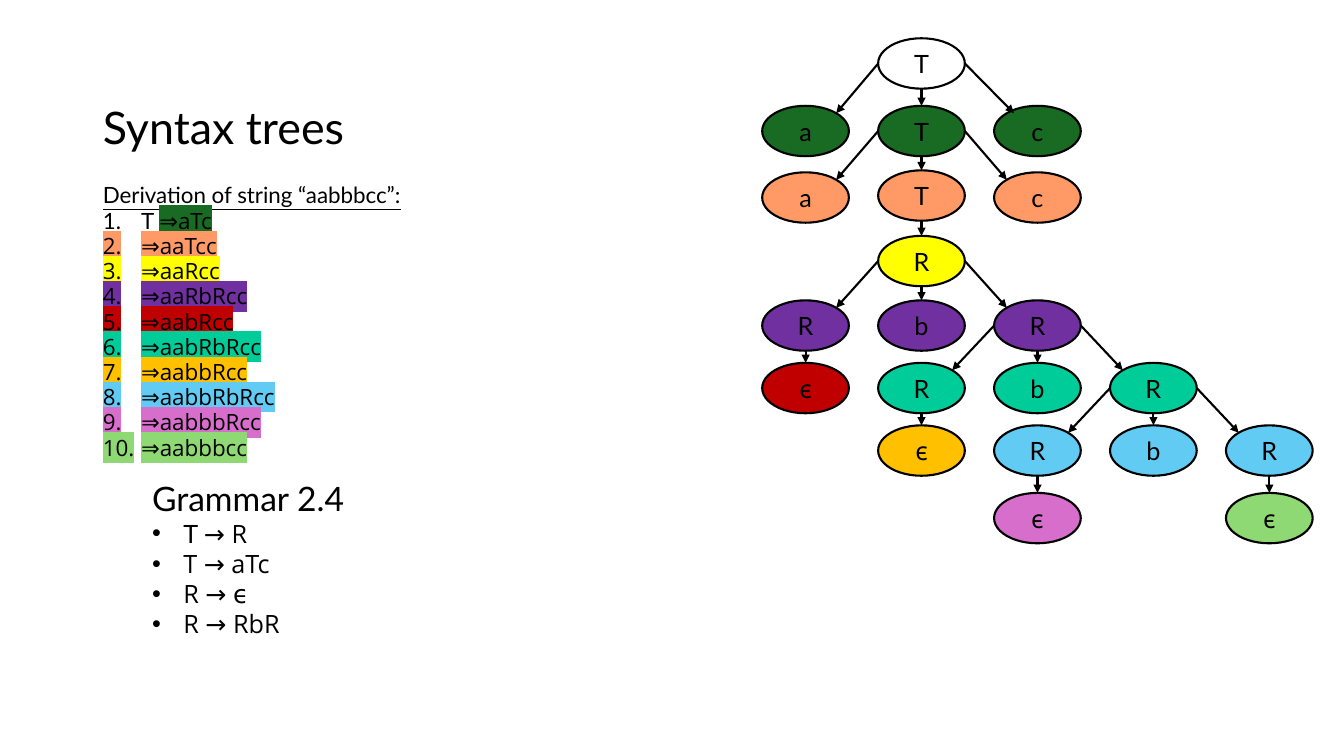
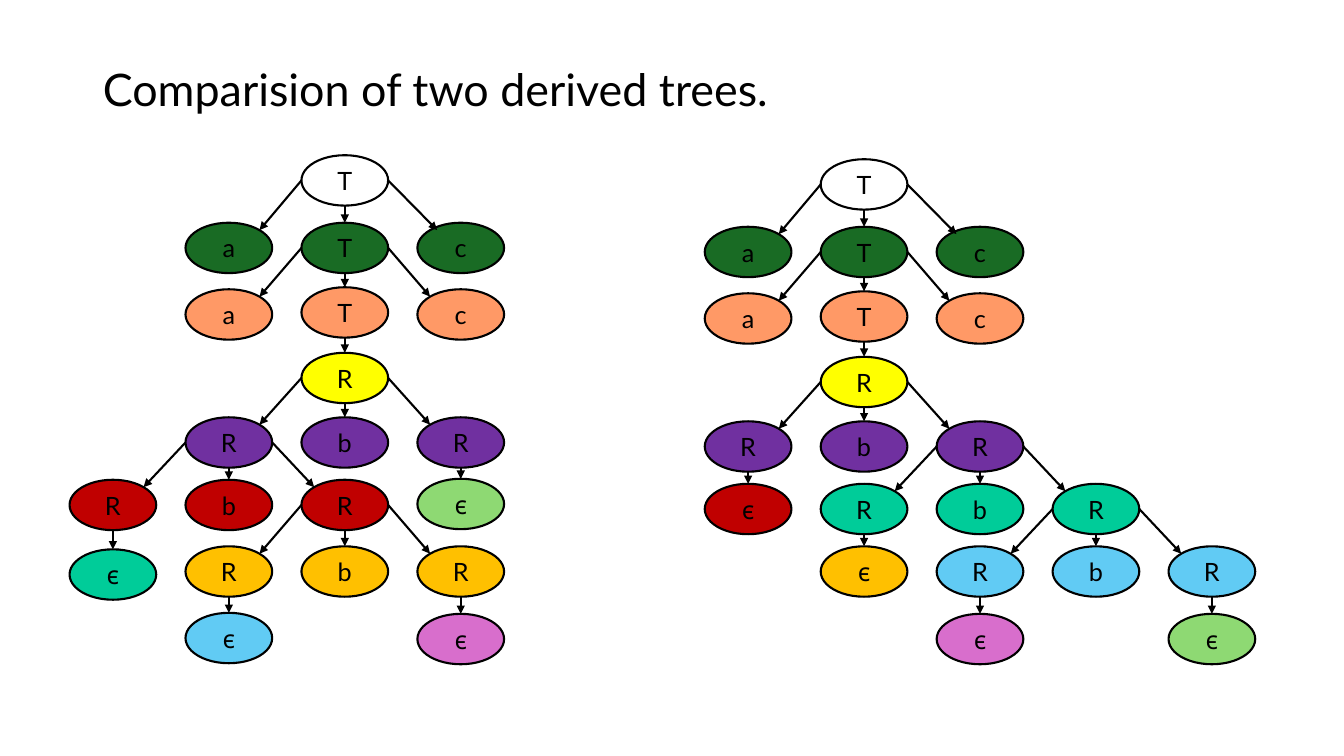
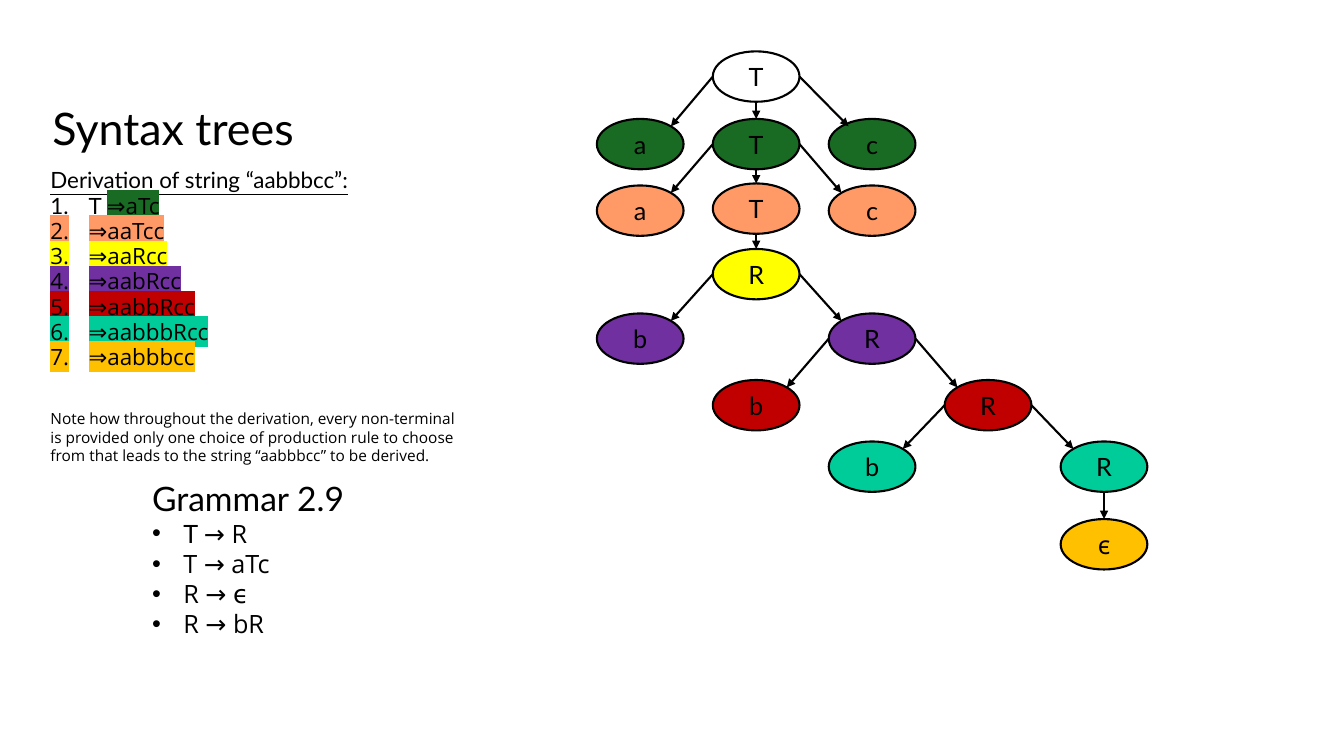
import math
from dataclasses import dataclass

from pptx import Presentation
from pptx.dml.color import RGBColor
from pptx.enum import shapes as es, text as et
from pptx.oxml import ns
from pptx.oxml.xmlchemy import OxmlElement
from pptx.util import Inches, Pt

LATO, OPEN_SANS = "Lato", "Open Sans"
BLACK = RGBColor(0x00, 0x00, 0x00)
# One colour for each derivation step, used in the list and in the tree.
STEP_COLORS = [RGBColor.from_string(c) for c in (
    "196B24", "FF9966", "FFFF00", "7030A0", "C00000",
    "00CC99", "FFC000", "61CBF4", "D86ECC", "8ED973")]

NODE_W, NODE_H, COL_STEP = 0.86, 0.5, 1.15
DIAG = math.sqrt(0.5)
# Connection sites of an ellipse: index and direction from the centre.
TOP, TOP_LEFT, LEFT = (0, 0, -1), (1, -DIAG, -DIAG), (2, -1, 0)
BOTTOM, RIGHT, TOP_RIGHT = (4, 0, 1), (6, 1, 0), (7, DIAG, -DIAG)
EDGE_SITES = {-1: (LEFT, TOP_RIGHT), 0: (BOTTOM, TOP), 1: (RIGHT, TOP_LEFT)}
KID_COLUMNS = {0: (), 1: (0,), 2: (-1, 1), 3: (-1, 0, 1)}


@dataclass
class Node:
    """A tree node: derivation step (0 is the start) and depth below the root."""
    label: str
    step: int
    y: float
    kids: tuple["Node", ...] = ()
    slip: float = 0  # shift of the arrow tip away from its site


def full_tree(r_kids: tuple[Node, ...]) -> Node:
    """Return the start of every derivation, down to the first R."""
    first_r = Node("R", 3, 1.96, r_kids)
    inner = (Node("a", 2, 1.33), Node("T", 2, 1.31, (first_r,)), Node("c", 2, 1.33))
    return Node("T", 0, 0, (Node("a", 1, 0.67), Node("T", 1, 0.67, inner),
                            Node("c", 1, 0.67, slip=0.07)))


def epsilon(step: int, y: float) -> tuple[Node, ...]:
    return (Node("ϵ", step, y),)


RIGHTMOST_TREE = full_tree((
    Node("R", 4, 2.6, epsilon(5, 3.22)),
    Node("b", 4, 2.6),
    Node("R", 4, 2.6, (
        Node("R", 6, 3.22, epsilon(7, 3.84)),
        Node("b", 6, 3.22),
        Node("R", 6, 3.22, (
            Node("R", 8, 3.84, epsilon(9, 4.51)),
            Node("b", 8, 3.84),
            Node("R", 8, 3.84, epsilon(10, 4.51))))))))

LEFTMOST_TREE = full_tree((
    Node("R", 4, 2.6, (
        Node("R", 5, 3.22, epsilon(6, 3.91)),
        Node("b", 5, 3.22),
        Node("R", 5, 3.22, (
            Node("R", 7, 3.88, epsilon(8, 4.54)),
            Node("b", 7, 3.88),
            Node("R", 7, 3.88, epsilon(9, 4.55)))))),
    Node("b", 4, 2.6),
    Node("R", 4, 2.6, epsilon(10, 3.21))))

UNAMBIGUOUS_TREE = full_tree((
    Node("b", 4, 2.6),
    Node("R", 4, 2.6, (
        Node("b", 5, 3.26),
        Node("R", 5, 3.26, (
            Node("b", 6, 3.87),
            Node("R", 6, 3.87, epsilon(7, 4.64))))))))


def sub(parent, tag: str, **attrs):
    el = OxmlElement(tag)
    for name, value in attrs.items():
        el.set(name, str(value))
    parent.append(el)
    return el


def add_run(p, content: str, *, size: float, font: str = LATO,
            underline: bool = False, highlight: RGBColor | None = None) -> None:
    r = p.add_run()
    r.text = content
    r.font.size, r.font.name = Pt(size), font
    r.font.underline = underline
    r.font.color.rgb = BLACK
    if highlight is not None:
        hl = OxmlElement("a:highlight")
        sub(hl, "a:srgbClr", val=highlight)
        r._r.get_or_add_rPr().find(ns.qn("a:solidFill")).addnext(hl)


def set_bullet(p, left: float = 0, hang: float = 0, *, char: str = "",
               numbered: bool = False) -> None:
    """Set the indents and the bullet; call it after the paragraph spacing."""
    pPr = p._p.get_or_add_pPr()
    pPr.set("marL", str(Inches(left)))
    pPr.set("indent", str(Inches(-hang)))
    if numbered:
        sub(pPr, "a:buFont", typeface=OPEN_SANS)
        sub(pPr, "a:buAutoNum", type="arabicPeriod")
    elif char:
        sub(pPr, "a:buFont", typeface="Arial")
        sub(pPr, "a:buChar", char=char)
    else:
        sub(pPr, "a:buNone")


def place(sp, left: float, top: float, width: float, height: float) -> None:
    sp.left, sp.top = Inches(left), Inches(top)
    sp.width, sp.height = Inches(width), Inches(height)


def add_slide(prs, layout: int, title: str, box: tuple[float, float, float, float]):
    s = prs.slides.add_slide(prs.slide_layouts[layout])
    place(s.shapes.title, *box)
    tf = s.shapes.title.text_frame
    tf.auto_size = et.MSO_AUTO_SIZE.NONE
    tf.vertical_anchor = et.MSO_ANCHOR.BOTTOM
    p = tf.paragraphs[0]
    p.alignment, p.line_spacing = et.PP_ALIGN.LEFT, 0.9
    add_run(p, title, size=32)
    return s


def fill_derivation(s, box: tuple[float, float, float, float],
                    steps: list[str], note: str = "") -> None:
    body = s.placeholders[1]
    place(body, *box)
    tf = body.text_frame
    tf.auto_size = et.MSO_AUTO_SIZE.NONE
    p = tf.paragraphs[0]
    p.line_spacing, p.space_before = 0.9, Pt(10)
    set_bullet(p)
    add_run(p, "Derivation of string “aabbbcc”:", size=16, underline=True)
    for i, (step, color) in enumerate(zip(steps, STEP_COLORS)):
        p = tf.add_paragraph()
        p.line_spacing, p.space_before = Pt(8), Pt(10)
        set_bullet(p, 0.38, 0.38, numbered=True)
        if i == 0:
            add_run(p, "T ", size=16)
        add_run(p, f"⇒{step}", size=16, font=OPEN_SANS, highlight=color)
    if note:
        p = tf.add_paragraph()
        p.space_before = Pt(28)
        set_bullet(p)
        add_run(p, note, size=11, font=OPEN_SANS)


def add_grammar(s, name: str, last_rule: str) -> None:
    tb = s.shapes.add_textbox(Inches(0.91), Inches(4.69), Inches(3.87), Inches(1.72))
    tf = tb.text_frame
    tf.word_wrap = True
    p = tf.paragraphs[0]
    set_bullet(p, 0.5)
    add_run(p, name, size=24)
    for i, rule in enumerate(("T → R", "T → aTc", "R → ϵ", last_rule)):
        p = tf.add_paragraph()
        set_bullet(p, 0.81, 0.31, char="•")
        if i == 0:
            add_run(p, "T ", size=18)
            rule = rule.removeprefix("T ")
        add_run(p, rule, size=18, font=OPEN_SANS)


def add_node(shapes, node: Node, left: float, top: float):
    sp = shapes.add_shape(es.MSO_SHAPE.OVAL, Inches(left), Inches(top),
                          Inches(NODE_W), Inches(NODE_H))
    sp.shadow.inherit = False
    if node.step:
        sp.fill.solid()
        sp.fill.fore_color.rgb = STEP_COLORS[node.step - 1]
    else:
        sp.fill.background()
    sp.line.color.rgb, sp.line.width = BLACK, Pt(1.5)
    tf = sp.text_frame
    tf.vertical_anchor = et.MSO_ANCHOR.MIDDLE
    p = tf.paragraphs[0]
    p.alignment = et.PP_ALIGN.CENTER
    add_run(p, node.label, size=18, font=OPEN_SANS if node.label == "ϵ" else LATO)
    return sp


def site_point(sp, site: tuple[int, float, float]) -> tuple[int, int]:
    _, dx, dy = site
    return (round(sp.left + sp.width * (1 + dx) / 2),
            round(sp.top + sp.height * (1 + dy) / 2))


def add_edge(shapes, parent, child, column: int, slip: float) -> None:
    """Draw an arrow glued to the ellipses' sites, which number eight, not four."""
    start, end = EDGE_SITES[column]
    x2, y2 = site_point(child, end)
    cx = shapes.add_connector(es.MSO_CONNECTOR.STRAIGHT, *site_point(parent, start),
                              x2 + Inches(slip), y2)
    cx.line.color.rgb, cx.line.width = BLACK, Pt(1.5)
    spPr = cx.element.spPr
    sub(spPr.find(ns.qn("a:ln")), "a:tailEnd", type="triangle")
    sub(spPr, "a:effectLst")
    joints = cx.element.find(".//" + ns.qn("p:cNvCxnSpPr"))
    sub(joints, "a:stCxn", id=parent.shape_id, idx=start[0])
    if not slip:
        sub(joints, "a:endCxn", id=child.shape_id, idx=end[0])


def draw_tree(shapes, node: Node, left: float, root_top: float):
    """Draw a node and all below it, each child one column aside or straight below."""
    sp = add_node(shapes, node, left, root_top + node.y)
    for column, kid in zip(KID_COLUMNS[len(node.kids)], node.kids):
        child = draw_tree(shapes, kid, left + column * COL_STEP, root_top)
        add_edge(shapes, sp, child, column, kid.slip)
    return sp


def main() -> None:
    prs = Presentation()
    prs.slide_width, prs.slide_height = Inches(13.33), Inches(7.5)

    s = add_slide(prs, 1, "Syntax trees", (0.92, 0.5, 4.3, 1.08))
    fill_derivation(s, (0.92, 1.78, 4.3, 2.93), [
        "aTc", "aaTcc", "aaRcc", "aaRbRcc", "aabRcc", "aabRbRcc",
        "aabbRcc", "aabbRbRcc", "aabbbRcc", "aabbbcc"])
    add_grammar(s, "Grammar 2.4", "R → RbR")
    draw_tree(s.shapes.add_group_shape().shapes, RIGHTMOST_TREE, 8.71, 0.38)

    s = add_slide(prs, 5, "Comparision of two derived trees.", (0.92, 0.14, 7.54, 1.06))
    draw_tree(s.shapes.add_group_shape().shapes, LEFTMOST_TREE, 2.99, 1.54)
    draw_tree(s.shapes.add_group_shape().shapes, RIGHTMOST_TREE, 8.14, 1.58)

    s = add_slide(prs, 1, "Syntax trees", (0.42, 0.51, 4.3, 1.08))
    fill_derivation(
        s, (0.4, 1.63, 4.3, 3.16),
        ["aTc", "aaTcc", "aaRcc", "aabRcc", "aabbRcc", "aabbbRcc", "aabbbcc"],
        note="Note how throughout the derivation, every non-terminal is provided "
             "only one choice of production rule to choose from that leads to the "
             "string “aabbbcc” to be derived.")
    add_grammar(s, "Grammar 2.9", "R → bR")
    draw_tree(s.shapes, UNAMBIGUOUS_TREE, 7.07, 0.51)

    prs.save("out.pptx")


if __name__ == "__main__":
    main()
